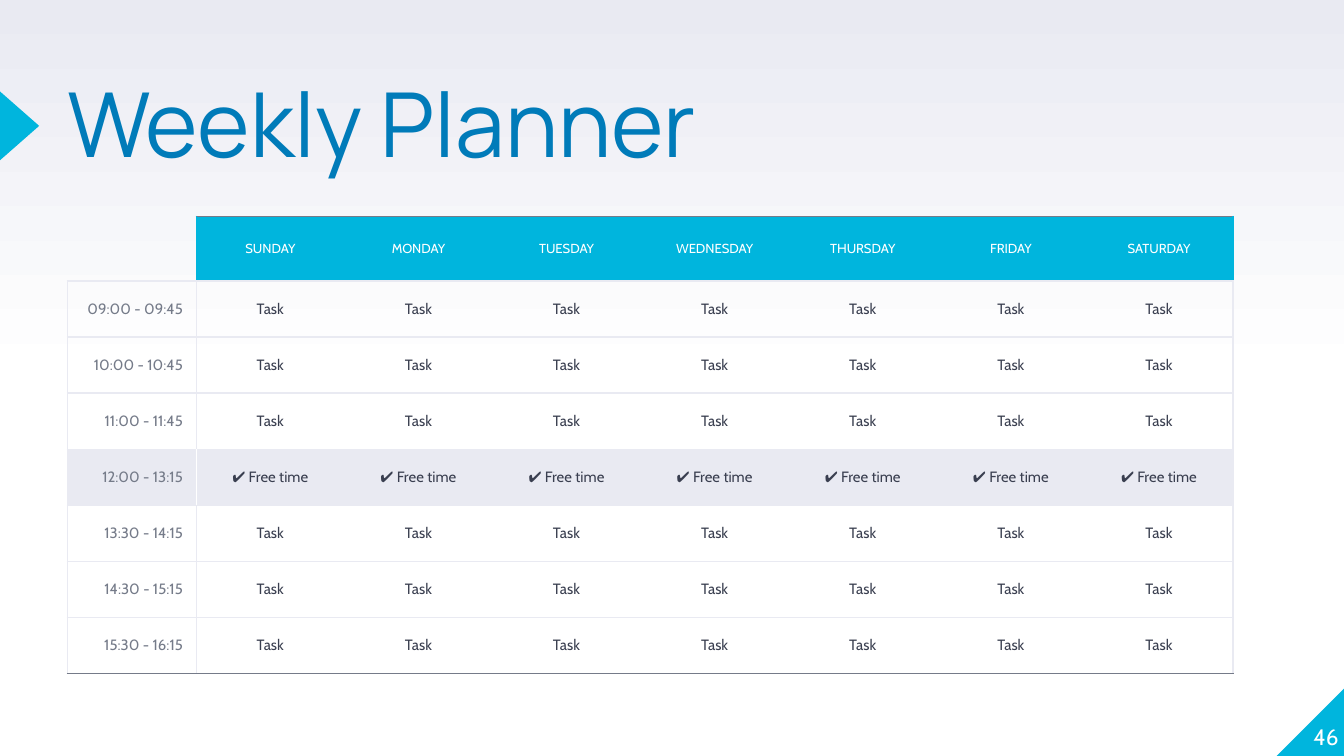
from lxml.etree import SubElement
from pptx import Presentation
from pptx.dml.color import RGBColor
from pptx.enum.shapes import MSO_SHAPE as Preset
from pptx.enum.text import MSO_ANCHOR as Anchor, MSO_AUTO_SIZE as AutoSize, PP_ALIGN as Align
from pptx.oxml.ns import qn
from pptx.util import Cm, Pt

CYAN = RGBColor(0x00, 0xB5, 0xDD)
BLUE = RGBColor(0x00, 0x7B, 0xB9)
LILAC = RGBColor(0xE9, 0xEA, 0xF2)
GREY = RGBColor(0x75, 0x7B, 0x89)
INK = RGBColor(0x3A, 0x3F, 0x50)
WHITE = RGBColor(0xFF, 0xFF, 0xFF)

TITLE = "Weekly Planner"
PAGE_NUMBER = "46"
DAYS = ["SUNDAY", "MONDAY", "TUESDAY", "WEDNESDAY", "THURSDAY", "FRIDAY", "SATURDAY"]
SLOTS = [
    ("09:00 - 09:45", "Task"),
    ("10:00 - 10:45", "Task"),
    ("11:00 - 11:45", "Task"),
    ("12:00 - 13:15", "✔ Free time"),
    ("13:30 - 14:15", "Task"),
    ("14:30 - 15:15", "Task"),
    ("15:30 - 16:15", "Task"),
]
ROWS = [["", *DAYS]] + [[time, *[entry] * len(DAYS)] for time, entry in SLOTS]
FREE_ROW = 4
LAST_ROW, LAST_COLUMN = len(SLOTS), len(DAYS)

TIME_WIDTH, DAY_WIDTH = 2.44, 2.8
HEADER_HEIGHT, SLOT_HEIGHT = 1.22, 1.06
NO_STYLE = "{2D5ABB26-0587-4C30-8999-92F81FD0307C}"


def write(frame, text, size, color, align, font="Cabin", anchor=Anchor.TOP, margin=0):
    settings = {"word_wrap": True, "auto_size": AutoSize.NONE, "vertical_anchor": anchor}
    for side in ("left", "top", "right", "bottom"):
        settings[f"margin_{side}"] = Cm(margin)
    for name, value in settings.items():
        setattr(frame, name, value)
    write_paragraph(frame.paragraphs[0], text, size, color, align, font)


def write_paragraph(paragraph, text, size, color, align, font="Cabin"):
    paragraph.text = text
    paragraph.alignment = align
    paragraph.font.size = Pt(size)
    for run in paragraph.runs:
        for name, value in {"name": font, "size": Pt(size)}.items():
            setattr(run.font, name, value)
        run.font.color.rgb = color


def add_triangle(slide, preset, left, top, width, height):
    shape = slide.shapes.add_shape(preset, Cm(left), Cm(top), Cm(width), Cm(height))
    shape.shadow.inherit = False
    shape.fill.solid()
    shape.fill.fore_color.rgb = CYAN
    shape.line.fill.background()
    return shape


def cell_style(row, column):
    if row == 0:
        return 7, WHITE, Align.CENTER, CYAN if column else None
    fill = LILAC if row == FREE_ROW else None
    if column == 0:
        return 8, GREY, Align.RIGHT, fill
    return 8, INK, Align.CENTER, fill


def cell_borders(row, column):
    side = CYAN if row == 0 else LILAC
    divider = WHITE if row == FREE_ROW else side
    left = {0: side if row else None, 1: divider}.get(column)
    right = {0: divider, LAST_COLUMN: side}.get(column)
    top = LILAC if row else (GREY if column else None)
    bottom = GREY if row == LAST_ROW else LILAC
    return {"L": left, "R": right, "T": top, "B": bottom}


def set_borders(cell, borders):
    properties = cell._tc.get_or_add_tcPr()
    for position, (side, color) in enumerate(borders.items()):
        line = SubElement(properties, qn(f"a:ln{side}"), w=str(Pt(0.75)))
        if color is None:
            SubElement(line, qn("a:noFill"))
        else:
            SubElement(SubElement(line, qn("a:solidFill")), qn("a:srgbClr"), val=str(color))
        properties.insert(position, line)


def add_planner(slide):
    width = TIME_WIDTH + DAY_WIDTH * len(DAYS)
    height = HEADER_HEIGHT + SLOT_HEIGHT * len(SLOTS)
    frame = slide.shapes.add_table(len(ROWS), len(ROWS[0]), Cm(1.27), Cm(4.09), Cm(width), Cm(height))
    table = frame.table
    table.first_row = table.horz_banding = False
    table._tbl.tblPr.find(qn("a:tableStyleId")).text = NO_STYLE
    for index, column in enumerate(table.columns):
        column.width = Cm(DAY_WIDTH if index else TIME_WIDTH)
    for index, row in enumerate(table.rows):
        row.height = Cm(SLOT_HEIGHT if index else HEADER_HEIGHT)
    for row, texts in enumerate(ROWS):
        for column, text in enumerate(texts):
            cell = table.cell(row, column)
            size, color, align, fill = cell_style(row, column)
            cell.vertical_anchor = Anchor.MIDDLE
            for side in ("left", "top", "right", "bottom"):
                setattr(cell, f"margin_{side}", Cm(0.25))
            write_paragraph(cell.text_frame.paragraphs[0], text, size, color, align)
            if fill is None:
                cell.fill.background()
            else:
                cell.fill.solid()
                cell.fill.fore_color.rgb = fill
            set_borders(cell, cell_borders(row, column))


def main():
    presentation = Presentation()
    presentation.slide_width, presentation.slide_height = Cm(25.4), Cm(14.29)
    slide = presentation.slides.add_slide(presentation.slide_layouts[5])

    background = slide.background.fill
    background.gradient()
    background.gradient_angle = 90
    for stop, (position, color) in zip(background.gradient_stops, [(0.5, WHITE), (1, LILAC)]):
        stop.position = position
        stop.color.rgb = color

    corner = add_triangle(slide, Preset.RIGHT_TRIANGLE, 24.13, 12.99, 1.3, 1.3)
    corner._element.spPr.find(qn("a:xfrm")).set("flipH", "1")
    add_triangle(slide, Preset.ISOSCELES_TRIANGLE, -0.28, 2.01, 1.3, 0.74).rotation = 90

    title = slide.shapes.title
    title.left, title.top, title.width, title.height = Cm(1.27), Cm(1.68), Cm(15.67), Cm(3)
    write(title.text_frame, TITLE, 48, BLUE, Align.LEFT, font="Manrope")
    title.text_frame.paragraphs[0].line_spacing = 0.8

    number = slide.shapes.add_textbox(Cm(24.03), Cm(12.88), Cm(1.27), Cm(1.3))
    write(number.text_frame, PAGE_NUMBER, 12, WHITE, Align.RIGHT, anchor=Anchor.BOTTOM)

    add_planner(slide)
    presentation.save("out.pptx")


if __name__ == "__main__":
    main()
